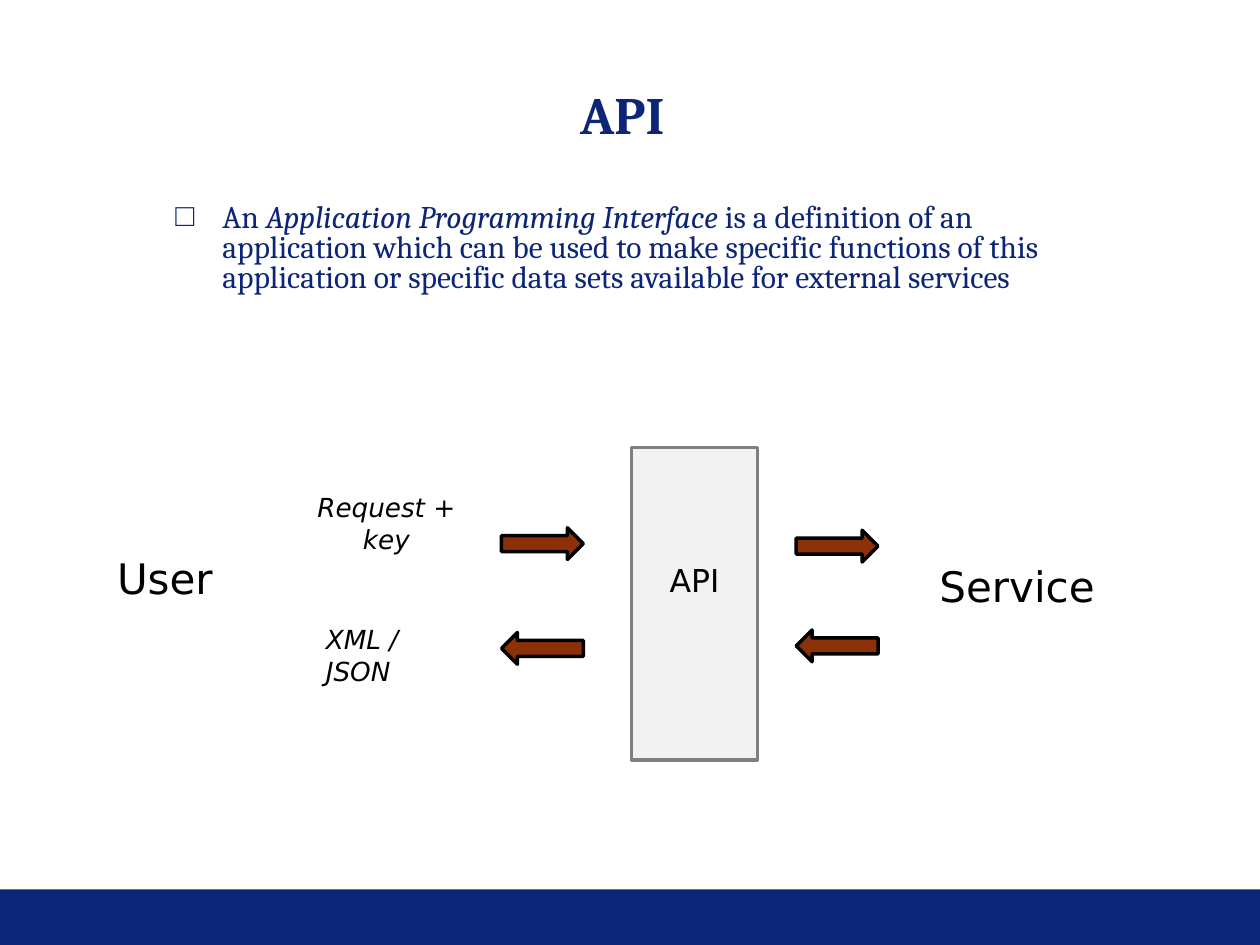
from lxml import etree
from pptx import Presentation
from pptx import util as u
from pptx.dml.color import RGBColor
from pptx.enum import shapes, text
from pptx.oxml.ns import qn

NAVY = RGBColor(0x0C, 0x25, 0x77)
RUST = RGBColor(0x8C, 0x30, 0x07)
PALE = RGBColor(0xF2, 0xF2, 0xF2)
GREY = RGBColor(0x80, 0x80, 0x80)
BLACK = RGBColor(0, 0, 0)
SERIF, SANS = "Cambria", "DejaVu Sans"
LEFT, CENTER = text.PP_ALIGN.LEFT, text.PP_ALIGN.CENTER
RECT, ARROW = shapes.MSO_SHAPE.RECTANGLE, shapes.MSO_SHAPE.RIGHT_ARROW

TITLE = "API"
DEFINITION = [
    ("An ", False),
    ("Application Programming Interface ", True),
    ("is a definition of an application which can be used to make specific "
     "functions of this application or specific data sets available for "
     "external services", False),
]
LABELS = [
    ("User", (2.11, 11.02, 2.84, 1.27), 24, False, LEFT),
    ("Service", (18.69, 11.18, 4.19, 1.27), 24, False, LEFT),
    ("API", (12.73, 11.18, 2.54, 1.02), 18, False, CENTER),
    ("Request + key", (6.1, 9.78, 3.38, 1.55), 15, True, CENTER),
    ("XML / JSON", (6.32, 12.45, 3.38, 1.55), 15, True, LEFT),
]
ARROW_PAIRS = [(10.11, 10.64, 12.75), (16.05, 10.69, 12.7)]
ARROW_SIZE = (1.65, 0.64)


def place(part, box):
    part.left, part.top, part.width, part.height = map(u.Cm, box)


def add_run(paragraph, words, font, size, color, bold=False, italic=False):
    run = paragraph.add_run()
    run.text = words
    run.font.name, run.font.size = font, u.Pt(size)
    run.font.bold, run.font.italic = bold, italic
    run.font.color.rgb = color


def add_block(slide, preset, box, fill, outline=None):
    block = slide.shapes.add_shape(preset, *map(u.Cm, box))
    block.shadow.inherit = False
    block.fill.solid()
    block.fill.fore_color.rgb = fill
    if outline is None:
        block.line.fill.background()
    else:
        block.line.color.rgb = outline
        block.line.width = u.Pt(2)
    return block


def add_label(slide, words, box, size, italic, align):
    label = slide.shapes.add_textbox(*map(u.Cm, box))
    label.text_frame.word_wrap = True
    label.text_frame.auto_size = text.MSO_AUTO_SIZE.SHAPE_TO_FIT_TEXT
    paragraph = label.text_frame.paragraphs[0]
    paragraph.alignment = align
    add_run(paragraph, words, SANS, size, BLACK, italic=italic)


def set_square_bullet(paragraph):
    props = paragraph._p.get_or_add_pPr()
    props.set("marL", str(u.Cm(0.95)))
    props.set("indent", str(-u.Cm(0.95)))
    bullet_color = etree.SubElement(props, qn("a:buClr"))
    etree.SubElement(bullet_color, qn("a:srgbClr"), val=str(NAVY))
    etree.SubElement(props, qn("a:buChar"), char="□")


def main():
    deck = Presentation()
    deck.slide_width, deck.slide_height = u.Cm(25.4), u.Cm(19.05)
    slide = deck.slides.add_slide(deck.slide_layouts[1])
    add_block(slide, RECT, (0, 17.93, 25.4, 1.12), NAVY)

    title, definition = slide.placeholders
    place(title, (3.02, 1.52, 19.05, 1.55))
    place(definition, (3.28, 3.99, 18.57, 6.6))
    for holder in (title, definition):
        holder.text_frame.auto_size = text.MSO_AUTO_SIZE.NONE
        holder.text_frame.vertical_anchor = text.MSO_ANCHOR.TOP

    heading = title.text_frame.paragraphs[0]
    heading.alignment = CENTER
    add_run(heading, TITLE, SERIF, 30, NAVY, bold=True)

    sentence = definition.text_frame.paragraphs[0]
    sentence.line_spacing = 0.8
    set_square_bullet(sentence)
    for words, italic in DEFINITION:
        add_run(sentence, words, SERIF, 18, NAVY, italic=italic)

    add_block(slide, RECT, (12.73, 9.02, 2.54, 6.3), PALE, GREY)
    for label in LABELS:
        add_label(slide, *label)
    for left, request_top, reply_top in ARROW_PAIRS:
        for top, turn in ((request_top, 0), (reply_top, 180)):
            arrow = add_block(slide, ARROW, (left, top, *ARROW_SIZE), RUST, BLACK)
            arrow.rotation = turn

    deck.save("out.pptx")


if __name__ == "__main__":
    main()
